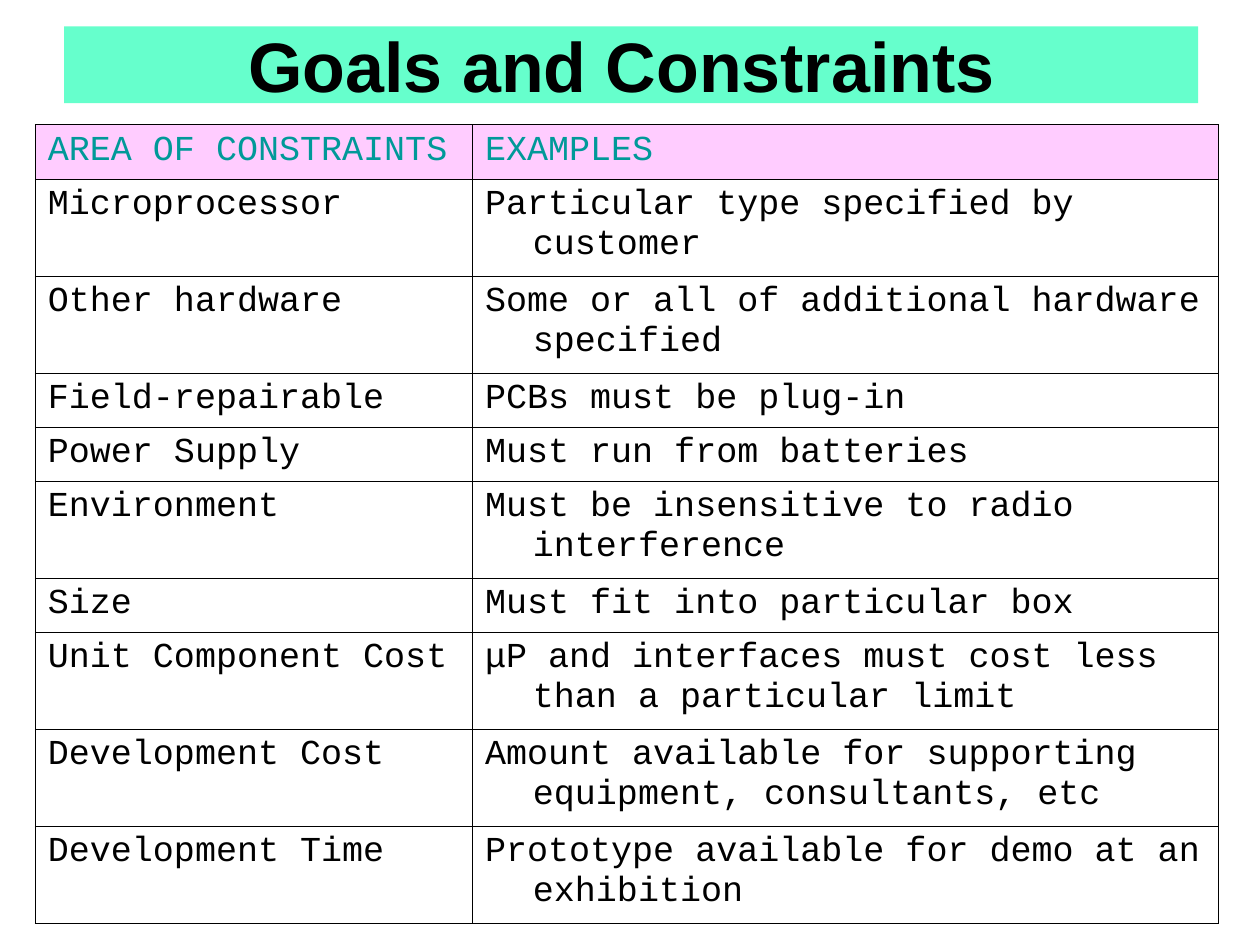
from lxml.etree import SubElement
from pptx import Presentation
from pptx.dml.color import RGBColor
from pptx.enum.text import MSO_ANCHOR as Anchor, MSO_AUTO_SIZE as AutoSize, PP_ALIGN as Align
from pptx.oxml.ns import qn
from pptx.util import Inches, Pt

COLORS = {"banner": "66FFCC", "header": "FFCCFF", "heading": "009999", "ink": "000000"}
CONSTRAINTS = [
    ("AREA OF CONSTRAINTS", "EXAMPLES", 1),
    ("Microprocessor", "Particular type specified by customer", 2),
    ("Other hardware", "Some or all of additional hardware specified", 2),
    ("Field‑repairable", "PCBs must be plug‑in", 1),
    ("Power Supply", "Must run from batteries", 1),
    ("Environment", "Must be insensitive to radio interference", 2),
    ("Size", "Must fit into particular box", 1),
    ("Unit Component Cost", "μP and interfaces must cost less than a particular limit", 2),
    ("Development Cost", "Amount available for supporting equipment, consultants, etc", 2),
    ("Development Time", "Prototype available for demo at an exhibition", 2),
]
ROW_HEIGHTS = {1: Inches(0.43), 2: Inches(0.77)}
COLUMN_WIDTHS = [Inches(3.47), Inches(5.92)]
INDENT = Inches(0.38)


def style_font(font, name, size, color, bold=False):
    font.name = name
    font.size = Pt(size)
    font.bold = bold
    font.color.rgb = RGBColor.from_string(COLORS[color])


def add_borders(cell):
    properties = cell._tc.get_or_add_tcPr()
    for side in ("lnL", "lnR", "lnT", "lnB"):
        line = SubElement(properties, qn(f"a:{side}"), w=str(Pt(0.45)))
        fill = SubElement(line, qn("a:solidFill"))
        SubElement(fill, qn("a:srgbClr"), val=COLORS["ink"])


deck = Presentation()
deck.slide_width, deck.slide_height = Inches(10), Inches(7.5)
page = deck.slides.add_slide(deck.slide_layouts[5])

title = page.shapes.title
title.left, title.top = Inches(0.51), Inches(0.21)
title.width, title.height = Inches(9), Inches(0.61)
title.fill.solid()
title.fill.fore_color.rgb = RGBColor.from_string(COLORS["banner"])
title.text_frame.text = "Goals and Constraints "
title.text_frame.vertical_anchor = Anchor.MIDDLE
title.text_frame.auto_size = AutoSize.NONE
para = title.text_frame.paragraphs[0]
para.alignment = Align.CENTER
style_font(para.font, "Arial", 40, "ink", bold=True)

heights = [ROW_HEIGHTS[lines] for *_, lines in CONSTRAINTS]
table = page.shapes.add_table(
    len(CONSTRAINTS), len(COLUMN_WIDTHS), Inches(0.28), Inches(0.99), sum(COLUMN_WIDTHS), sum(heights)
).table
table.first_row = False
table.horz_banding = False
for column, width in zip(table.columns, COLUMN_WIDTHS):
    column.width = width

for index, (area, example, lines) in enumerate(CONSTRAINTS):
    table.rows[index].height = ROW_HEIGHTS[lines]
    for cell, text in zip(table.rows[index].cells, (area, example)):
        add_borders(cell)
        if index == 0:
            cell.fill.solid()
            cell.fill.fore_color.rgb = RGBColor.from_string(COLORS["header"])
        else:
            cell.fill.background()
        cell.text = text
        para = cell.text_frame.paragraphs[0]
        layout = para._p.get_or_add_pPr()
        layout.set("marL", str(INDENT))
        layout.set("indent", str(-INDENT))
        style_font(para.font, "Courier New", 20, "ink" if index else "heading")

deck.save("out.pptx")
